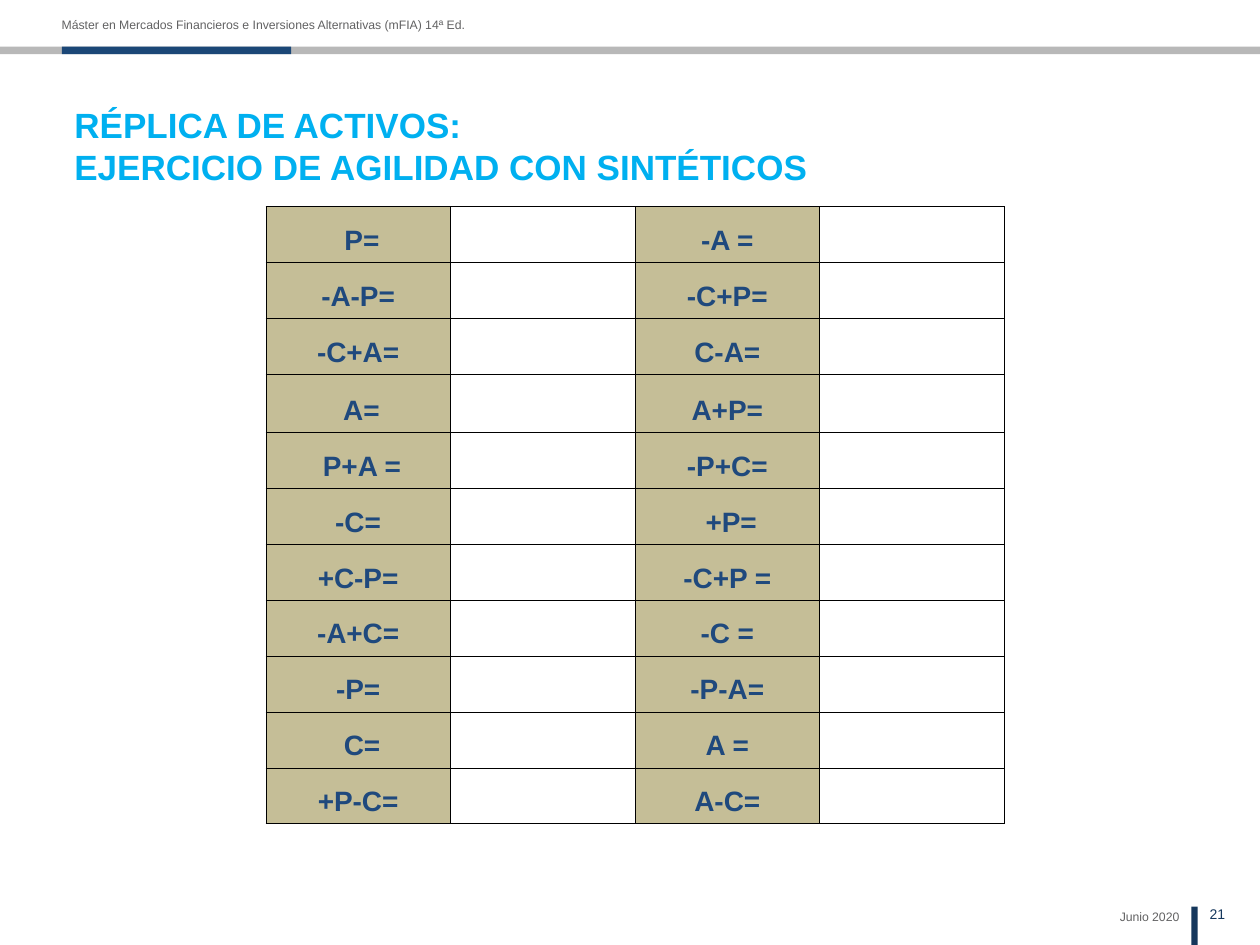
import collections

import lxml.etree
import pptx
import pptx.dml.color
import pptx.enum.shapes
import pptx.enum.text
import pptx.oxml.ns
import pptx.util

COLUMNS, ROWS = 100, 75
SLIDE_WIDTH, SLIDE_HEIGHT = pptx.util.Inches(10), pptx.util.Inches(7.5)
FONT = "Arial"
GREY, NAVY, DARK_NAVY, TEXT_GREY = "B8B8B8", "1B4777", "15375C", "626263"
SKY, TAN, TABLE_BLUE, BLACK = "00B0F0", "C5BE97", "1F497D", "000000"
ALIGN = pptx.enum.text.PP_ALIGN
ANCHOR = pptx.enum.text.MSO_ANCHOR

Box = collections.namedtuple("Box", "left top width height")

EXERCISES = [
    (" P=", "-A ="),
    ("-A-P=", "-C+P="),
    ("-C+A=", "C-A="),
    (" A=", "A+P="),
    (" P+A =", "-P+C="),
    ("-C=", " +P="),
    ("+C-P=", "-C+P ="),
    ("-A+C=", "-C ="),
    ("-P=", "-P-A="),
    (" C=", "A ="),
    ("+P-C=", "A-C="),
]
ROW_WEIGHTS = [46 if index == 3 else 44 for index in range(len(EXERCISES))]


def color(hex_value):
    """Return the RGB colour for a hex string."""
    return pptx.dml.color.RGBColor.from_string(hex_value)


def across(columns):
    """Convert grid columns to a length."""
    return int(SLIDE_WIDTH * columns / COLUMNS)


def down(rows):
    """Convert grid rows to a length."""
    return int(SLIDE_HEIGHT * rows / ROWS)


def frame(box):
    """Convert a grid box to left, top, width and height lengths."""
    return across(box.left), down(box.top), across(box.width), down(box.height)


def inside(box, left, top, width, height):
    """Return a box offset from the corner of another box."""
    return Box(box.left + left, box.top + top, width, height)


def style_text(text_frame, size, hex_value, bold=False, align=ALIGN.LEFT):
    """Format every run of a text frame."""
    for paragraph in text_frame.paragraphs:
        paragraph.alignment = align
        for run in paragraph.runs:
            run.font.name = FONT
            run.font.size = pptx.util.Pt(size)
            run.font.bold = bold
            run.font.color.rgb = color(hex_value)


def add_bar(slide, box, hex_value):
    """Add a plain filled rectangle."""
    shape = slide.shapes.add_shape(pptx.enum.shapes.MSO_SHAPE.RECTANGLE, *frame(box))
    shape.shadow.inherit = False
    shape.fill.solid()
    shape.fill.fore_color.rgb = color(hex_value)
    shape.line.fill.background()


def add_label(slide, box, text, size, hex_value, align=ALIGN.LEFT):
    """Add a small text box without margins."""
    text_frame = slide.shapes.add_textbox(*frame(box)).text_frame
    text_frame.word_wrap = True
    text_frame.margin_left = text_frame.margin_right = 0
    text_frame.margin_top = text_frame.margin_bottom = 0
    text_frame.text = text
    style_text(text_frame, size, hex_value, align=align)


def add_header(slide, box):
    """Place the course name above its two-tone rule."""
    add_bar(slide, inside(box, 0, 3.7, box.width, 0.6), GREY)
    add_bar(slide, inside(box, 4.9, 3.7, 18.2, 0.6), NAVY)
    course = "Máster en Mercados Financieros e Inversiones Alternativas (mFIA) 14ª Ed."
    add_label(slide, inside(box, 4.9, 1.4, 40.4, 1.2), course, 7, TEXT_GREY)


def add_footer(slide, box):
    """Place the date, the upright bar and the page number."""
    add_label(slide, inside(box, 0, 0.3, 11.3, 1.2), "Junio 2020", 7, TEXT_GREY, ALIGN.RIGHT)
    add_bar(slide, inside(box, 12.25, 0.05, 0.5, 3.1), DARK_NAVY)
    add_label(slide, inside(box, 13.7, 0, 4, 1.3), "21", 8, DARK_NAVY)


def place_title(slide, box):
    """Move and format the title placeholder."""
    title = slide.shapes.title
    title.left, title.top, title.width, title.height = frame(box)
    text_frame = title.text_frame
    text_frame.text = "RÉPLICA DE ACTIVOS: \vEJERCICIO DE AGILIDAD CON SINTÉTICOS"
    text_frame.word_wrap = True
    text_frame.auto_size = pptx.enum.text.MSO_AUTO_SIZE.NONE
    text_frame.vertical_anchor = ANCHOR.MIDDLE
    style_text(text_frame, 20, SKY, bold=True)


def border_cell(cell):
    """Draw a thin line on all four sides of a cell."""
    properties = cell._tc.get_or_add_tcPr()
    for position, side in enumerate(("lnL", "lnR", "lnT", "lnB")):
        line = lxml.etree.Element(pptx.oxml.ns.qn(f"a:{side}"), w=str(pptx.util.Pt(0.23)))
        fill = lxml.etree.SubElement(line, pptx.oxml.ns.qn("a:solidFill"))
        lxml.etree.SubElement(fill, pptx.oxml.ns.qn("a:srgbClr"), val=BLACK)
        properties.insert(position, line)


def fill_prompt(cell, text):
    """Write one exercise in a tan cell."""
    cell.fill.solid()
    cell.fill.fore_color.rgb = color(TAN)
    cell.margin_left = cell.margin_right = pptx.util.Inches(0.01)
    cell.vertical_anchor = ANCHOR.BOTTOM
    cell.text_frame.text = text
    style_text(cell.text_frame, 16, TABLE_BLUE, bold=True, align=ALIGN.CENTER)


def add_exercises(slide, box):
    """Add the table of prompts, each followed by an empty answer cell."""
    table = slide.shapes.add_table(len(EXERCISES), 4, *frame(box)).table
    table.first_row = table.horz_banding = False
    for column in table.columns:
        column.width = across(box.width / 4)
    for row, weight in zip(table.rows, ROW_WEIGHTS):
        row.height = down(box.height * weight / sum(ROW_WEIGHTS))
    for cell in table.iter_cells():
        cell.fill.background()
        border_cell(cell)
    for row_index, prompts in enumerate(EXERCISES):
        for pair_index, prompt in enumerate(prompts):
            fill_prompt(table.cell(row_index, 2 * pair_index), prompt)


def main():
    """Build and save the slide."""
    presentation = pptx.Presentation()
    presentation.slide_width, presentation.slide_height = SLIDE_WIDTH, SLIDE_HEIGHT
    slide = presentation.slides.add_slide(presentation.slide_layouts.get_by_name("Title Only"))
    add_header(slide, Box(0, 0, COLUMNS, 4.3))
    add_footer(slide, Box(82.3, 71.9, 17.7, 3.1))
    place_title(slide, Box(4.9, 5.3, 89.9, 12.5))
    add_exercises(slide, Box(21.1, 16.4, 58.6, 49))
    presentation.save("out.pptx")


if __name__ == "__main__":
    main()
